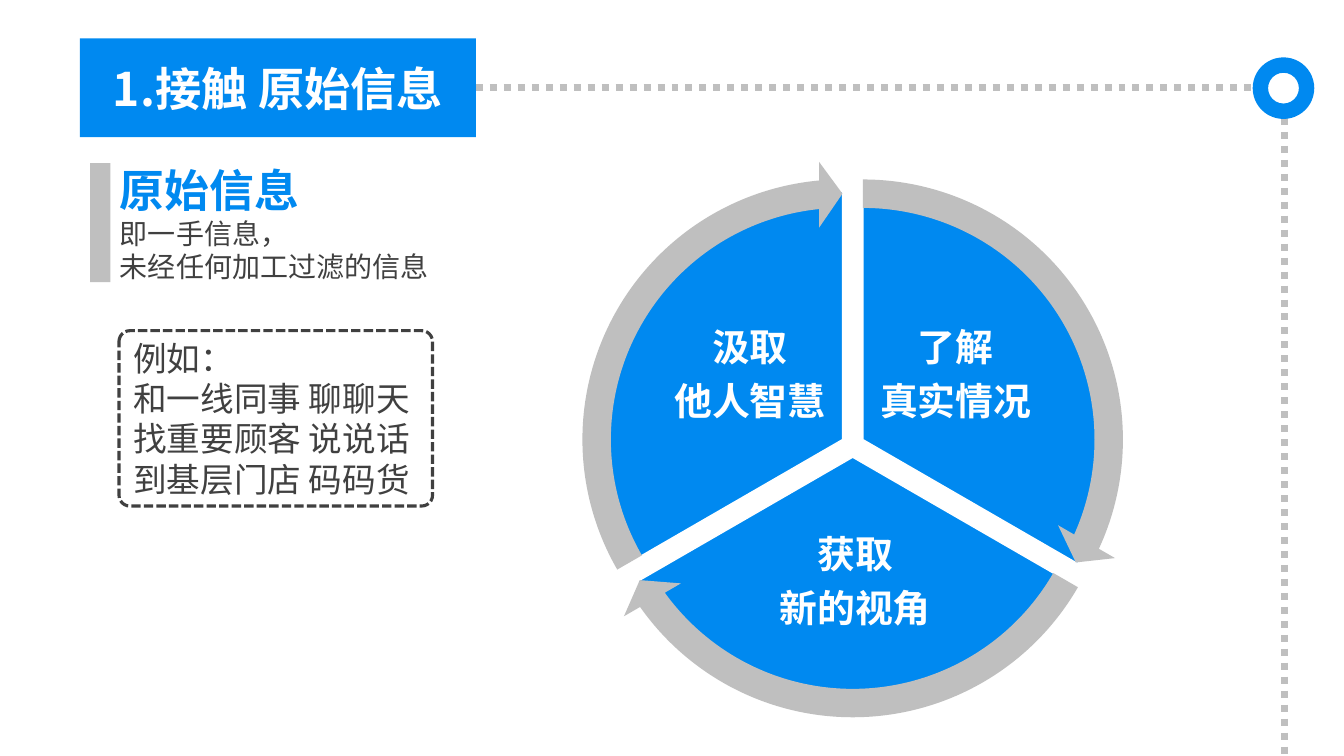
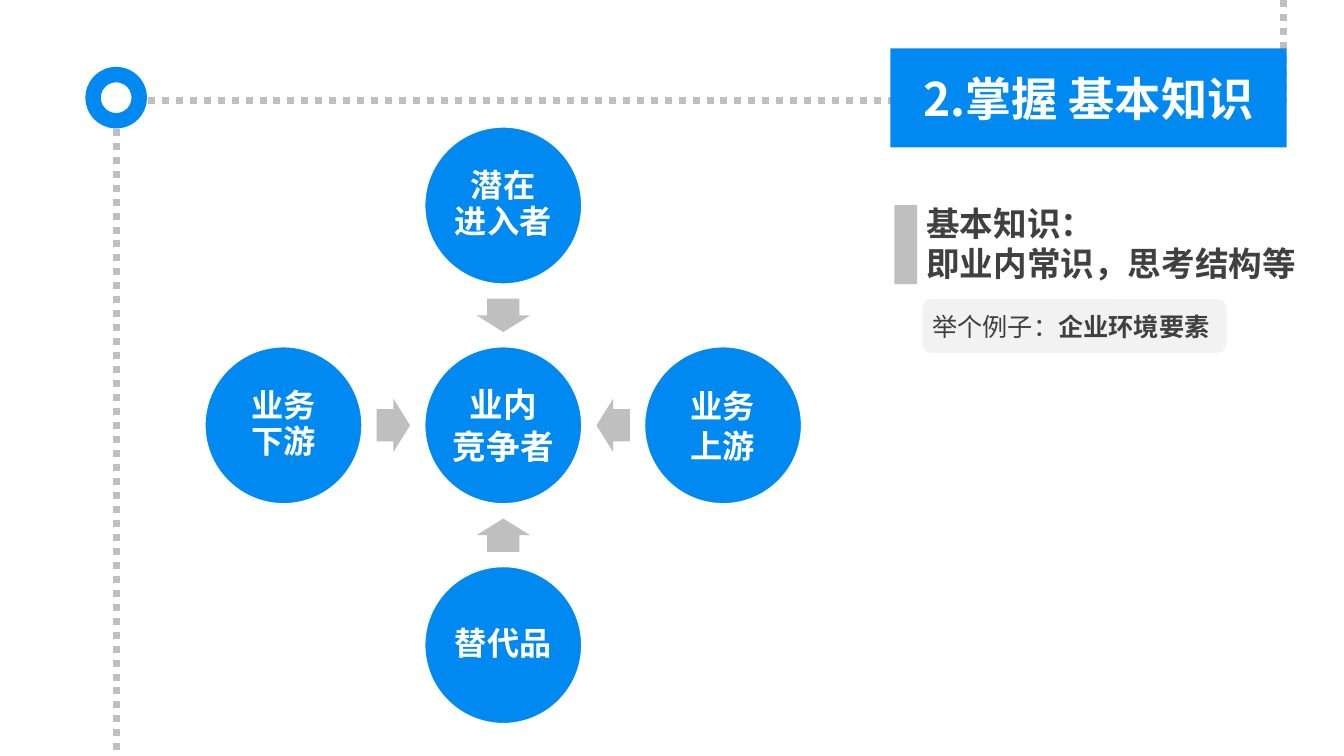
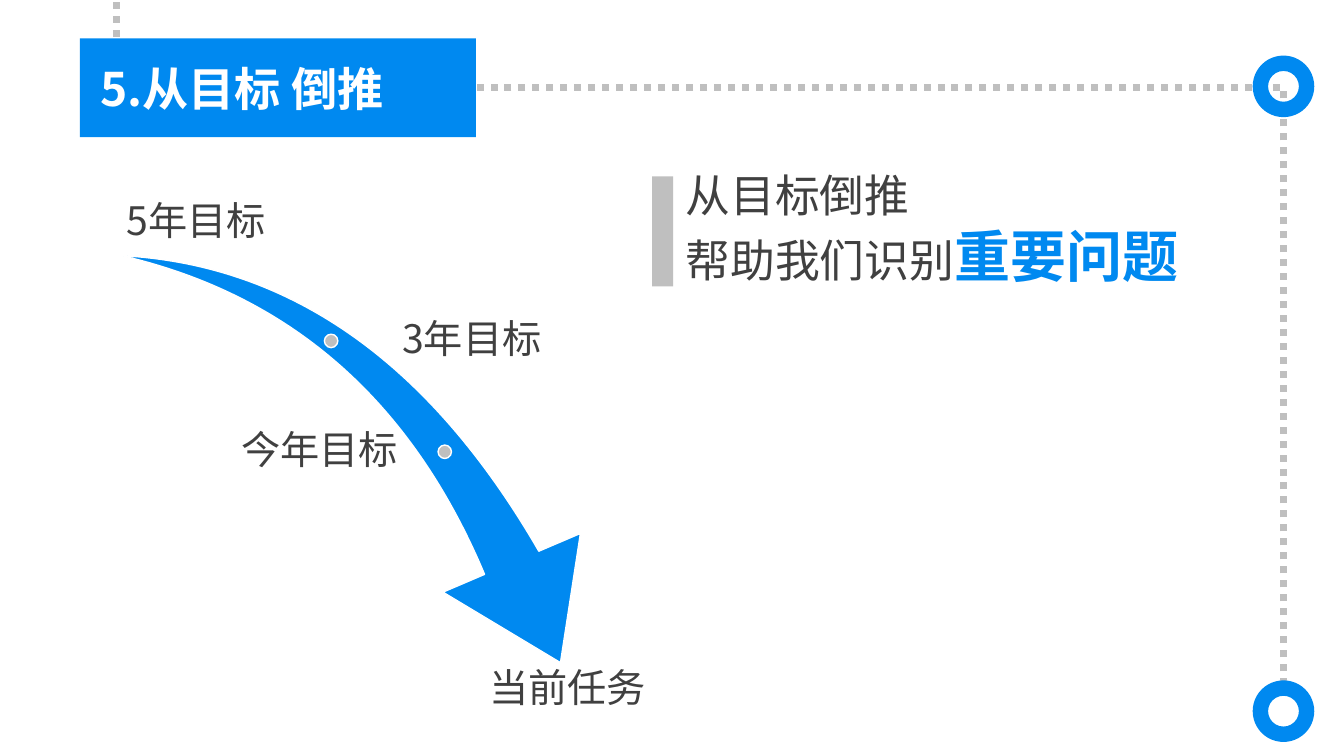
import math

import pptx
import pptx.dml.color
import pptx.enum.dml
import pptx.enum.shapes
import pptx.enum.text
import pptx.oxml
import pptx.oxml.ns
import pptx.util

Pt = pptx.util.Pt
qn = pptx.oxml.ns.qn
RGBColor = pptx.dml.color.RGBColor
SHAPE = pptx.enum.shapes.MSO_SHAPE
CONNECTOR = pptx.enum.shapes.MSO_CONNECTOR
ALIGN = pptx.enum.text.PP_ALIGN
ANCHOR = pptx.enum.text.MSO_ANCHOR
DASH = pptx.enum.dml.MSO_LINE

BLUE = RGBColor(0x00, 0x89, 0xF0)
GRAY = RGBColor(0xBF, 0xBF, 0xBF)
PALE = RGBColor(0xF2, 0xF2, 0xF2)
DARK = RGBColor(0x40, 0x40, 0x40)
WHITE = RGBColor(0xFF, 0xFF, 0xFF)
FONT = "Noto Sans CJK SC"
ANGLE = 0.6  # one degree, in the unit of shape adjustments

BANNER_WIDTH, BANNER_HEIGHT = 283, 70.6
RIGHT_TRACK, LEFT_TRACK = 916.8, 83


def place(left, top, width, height):
    return Pt(left), Pt(top), Pt(width), Pt(height)


def centered(x, y, width, height):
    return place(x - width / 2, y - height / 2, width, height)


def write(frame, text, size=24, color=DARK, bold=False, align=ALIGN.LEFT,
          spacing=1.0, after=0, same_line=False):
    """Add one paragraph per line of text, or carry on the last paragraph."""
    for line in text.split("\n"):
        paragraph = frame.paragraphs[-1]
        if paragraph.runs and not same_line:
            paragraph = frame.add_paragraph()
        paragraph.alignment = align
        paragraph.line_spacing = spacing
        paragraph.space_after = Pt(after)
        run = paragraph.add_run()
        run.text = line
        run.font.size = Pt(size)
        run.font.bold = bold
        run.font.color.rgb = color
        run.font.name = FONT
        east_asian = pptx.oxml.parse_xml(
            f'<a:ea {pptx.oxml.ns.nsdecls("a")} typeface="{FONT}"/>')
        run.font._element.append(east_asian)


def set_frame(frame, anchor=ANCHOR.TOP, margins=(7.2, 3.6, 7.2, 3.6)):
    frame.word_wrap = True
    frame.auto_size = pptx.enum.text.MSO_AUTO_SIZE.NONE
    frame.vertical_anchor = anchor
    (frame.margin_left, frame.margin_top,
     frame.margin_right, frame.margin_bottom) = map(Pt, margins)
    return frame


def add_text(slide, box, text, anchor=ANCHOR.TOP,
             margins=(7.2, 3.6, 7.2, 3.6), **text_format):
    frame = set_frame(slide.shapes.add_textbox(*box).text_frame, anchor, margins)
    write(frame, text, **text_format)
    return frame


def add_shape(slide, kind, box, fill=None, line=None, line_width=1, adjustments=()):
    shape = slide.shapes.add_shape(kind, *box)
    shape.shadow.inherit = False
    if fill is None:
        shape.fill.background()
    else:
        shape.fill.solid()
        shape.fill.fore_color.rgb = fill
    if line is None:
        shape.line.fill.background()
    else:
        shape.line.color.rgb = line
        shape.line.width = Pt(line_width)
    for index, value in enumerate(adjustments):
        shape.adjustments[index] = value
    return shape


def add_track(slide, start, end, corner=None):
    """Dotted line; with a corner, it bends at that x position."""
    kind = CONNECTOR.STRAIGHT if corner is None else CONNECTOR.ELBOW
    track = slide.shapes.add_connector(kind, *map(Pt, start + end))
    track.line.color.rgb = GRAY
    track.line.width = Pt(5)
    track.line.dash_style = DASH.ROUND_DOT
    properties = track._element.spPr
    if corner is not None:
        bend = round((corner - start[0]) / (end[0] - start[0]) * 100000)
        guides = properties.find(qn("a:prstGeom")).get_or_add_avLst()
        guides.append(pptx.oxml.parse_xml(
            f'<a:gd {pptx.oxml.ns.nsdecls("a")} name="adj1" fmla="val {bend}"/>'))
    properties.append(pptx.oxml.parse_xml(
        f'<a:effectLst {pptx.oxml.ns.nsdecls("a")}/>'))


def add_node(slide, x, y, solid=True):
    if solid:
        add_shape(slide, SHAPE.OVAL, centered(x, y, 26, 26), WHITE)
    add_shape(slide, SHAPE.DONUT, centered(x, y, 44, 44), BLUE)


def set_title(slide, left, top, text, align=ALIGN.CENTER, indent=7.2):
    """Turn the title placeholder into the snipped banner, above the track."""
    title = slide.shapes.title
    title.left, title.top, title.width, title.height = place(
        left, top, BANNER_WIDTH, BANNER_HEIGHT)
    title._element.spPr.append(pptx.oxml.parse_xml(
        f'<a:prstGeom {pptx.oxml.ns.nsdecls("a")} prst="snip2DiagRect"><a:avLst>'
        '<a:gd name="adj1" fmla="val 0"/><a:gd name="adj2" fmla="val 28600"/>'
        '</a:avLst></a:prstGeom>'))
    title.fill.solid()
    title.fill.fore_color.rgb = BLUE
    frame = set_frame(title.text_frame, ANCHOR.MIDDLE, (indent, 3.6, 7.2, 3.6))
    write(frame, text, size=33, color=WHITE, bold=True, align=align)
    slide.shapes._spTree.append(title._element)


def set_body(slide, box, bar):
    """Place the body placeholder next to its gray bar."""
    add_shape(slide, SHAPE.RECTANGLE, bar, GRAY)
    body = slide.placeholders[1]
    body.left, body.top, body.width, body.height = box
    return set_frame(body.text_frame)


def clear_body_bullets(presentation):
    style = presentation.slide_master._element.find(
        f'.//{qn("p:bodyStyle")}/{qn("a:lvl1pPr")}')
    style.set("marL", "0")
    style.set("indent", "0")
    style.remove(style.find(qn("a:spcBef")))
    style.replace(style.find(qn("a:buChar")), pptx.oxml.parse_xml(
        f'<a:buNone {pptx.oxml.ns.nsdecls("a")}/>'))


def add_cycle(slide, center_x, center_y):
    gap, diameter, arrow_size, sweep, head = 8.4, 354.2, 398.2, 114.54, 5.46
    sectors = [
        (270, "了解\n真实情况", 682.6, 268.9),
        (30, "获取\n新的视角", 610.9, 416.5),
        (150, "汲取\n他人智慧", 535.7, 268.9),
    ]
    centers = []
    for start, text, text_x, text_y in sectors:
        middle = math.radians(start + 60)
        x = center_x + gap * math.cos(middle)
        y = center_y + gap * math.sin(middle)
        centers.append((start, x, y))
        add_shape(slide, SHAPE.PIE, centered(x, y, diameter, diameter), BLUE, WHITE,
                  adjustments=(start * ANGLE, (start + 120) % 360 * ANGLE))
        add_text(slide, centered(text_x, text_y, 141, 110), text, ANCHOR.MIDDLE,
                 (0, 0, 0, 0), size=27, color=WHITE, bold=True,
                 align=ALIGN.CENTER, spacing=0.9, after=9.45)
    for start, x, y in centers:
        add_shape(slide, SHAPE.CIRCULAR_ARROW, centered(x, y, arrow_size, arrow_size),
                  GRAY, adjustments=(0.051, head * ANGLE,
                                     (start + sweep) % 360 * ANGLE,
                                     start * ANGLE, 0.059))


def add_forces(slide, center_x, center_y):
    """Five circles on a cross, with arrows pointing to the middle one."""
    pitch, diameter, arrow_length, arrow_width = 157, 112.2, 23.8, 38.2
    circles = [
        (0, 0, "业内\n竞争者", 24, 1.0, None),
        (0, -1, "潜在\n进入者", 23, 0.9, SHAPE.DOWN_ARROW),
        (1, 0, "业务\n上游", 23, 1.0, SHAPE.LEFT_ARROW),
        (0, 1, "替代品", 23, 0.9, SHAPE.UP_ARROW),
        (-1, 0, "业务\n下游", 23, 0.9, SHAPE.RIGHT_ARROW),
    ]
    for column, row, text, size, spacing, arrow in circles:
        x, y = center_x + column * pitch, center_y + row * pitch
        circle = add_shape(slide, SHAPE.OVAL, centered(x, y, diameter, diameter),
                           BLUE, WHITE)
        frame = set_frame(circle.text_frame, ANCHOR.MIDDLE, (0, 0, 0, 0))
        write(frame, text, size=size, color=WHITE, bold=True,
              align=ALIGN.CENTER, spacing=spacing, after=1)
        if arrow is not None:
            extent = ((arrow_length, arrow_width) if column
                      else (arrow_width, arrow_length))
            middle = ((x + center_x) / 2, (y + center_y) / 2)
            add_shape(slide, arrow, centered(*middle, *extent), GRAY,
                      adjustments=(0.6, 0.5))


def build_raw_information(slide):
    add_cycle(slide, 609.1, 318.2)
    add_track(slide, (340, 62.8), (1214.6, 662.4), RIGHT_TRACK + 0.5)
    add_node(slide, RIGHT_TRACK, 63)
    body = set_body(slide, place(78.5, 112.3, 305.3, 94.3),
                    place(64.3, 116.6, 14.6, 85))
    write(body, "原始信息", size=32, color=BLUE, bold=True)
    write(body, "即一手信息，\n未经任何加工过滤的信息", size=20)
    frame = add_shape(slide, SHAPE.ROUNDED_RECTANGLE, place(85, 236.2, 224, 125.3),
                      line=DARK, line_width=2.25, adjustments=(0.062,))
    frame.line.dash_style = DASH.SQUARE_DOT
    set_frame(frame.text_frame, ANCHOR.MIDDLE, (8, 0, 0, 0))
    write(frame.text_frame, "例如：\n和一线同事 聊聊天\n找重要顾客 说说话\n到基层门店 码码货")
    set_title(slide, 57, 27.4, "1.接触 原始信息")


def build_basic_knowledge(slide):
    add_track(slide, (871.9, -34.6), (LEFT_TRACK, 72), RIGHT_TRACK)
    set_title(slide, 636, 34.6, "2.掌握 基本知识")
    add_track(slide, (LEFT_TRACK, 72), (LEFT_TRACK, 560))
    add_node(slide, LEFT_TRACK, 69.8)
    body = set_body(slide, place(654.5, 141.1, 305.3, 65.5),
                    place(638.8, 146.6, 16.4, 56.4))
    write(body, "基本知识：\n即业内常识，思考结构等", bold=True)
    add_forces(slide, 359.5, 303.8)
    add_shape(slide, SHAPE.ROUNDED_RECTANGLE, place(658.8, 213.8, 217.4, 38.2), PALE)
    example = add_text(slide, place(658.8, 218.9, 236.9, 28.8), "举个例子：", size=18)
    write(example, "企业环境要素", size=18, bold=True, same_line=True)


def build_backward_planning(slide):
    add_track(slide, (904.3, 506.9), (340, 62.8), RIGHT_TRACK)
    add_track(slide, (LEFT_TRACK, -38.2), (LEFT_TRACK, 54.7))
    add_node(slide, RIGHT_TRACK, 61.7, solid=False)
    set_title(slide, 57, 27.4, "5.从目标 倒推", ALIGN.LEFT, indent=14.6)
    swoosh = add_shape(slide, SHAPE.SWOOSH_ARROW, place(78.5, 193.7, 368.6, 257),
                       BLUE, WHITE, adjustments=(0.163, 0.314))
    swoosh.rotation = 73.3
    for x, y in [(236.5, 243.5), (317.7, 322.7)]:
        add_shape(slide, SHAPE.OVAL, centered(x, y, 9.6, 9.6), GRAY, WHITE)
    milestones = [
        ("5年目标", 53.3, 109.4, 173.5, ANCHOR.BOTTOM, ALIGN.CENTER),
        ("3年目标", 283.7, 209.5, 239, ANCHOR.MIDDLE, ALIGN.LEFT),
        ("今年目标", 53.3, 288.7, 234.7, ANCHOR.MIDDLE, ALIGN.RIGHT),
        ("当前任务", 288, 473.8, 234.7, ANCHOR.TOP, ALIGN.CENTER),
    ]
    for text, left, top, width, anchor, align in milestones:
        add_text(slide, place(left, top, width, 68.4), text, anchor,
                 (3.6, 3.6, 3.6, 3.6), size=28, align=align, spacing=0.9)
    body = set_body(slide, place(482.4, 115.9, 429.8, 94.3),
                    place(465.8, 126, 15, 78.6))
    write(body, "从目标倒推\n帮助我们识别", size=32)
    write(body, "重要问题", size=40, color=BLUE, bold=True, same_line=True)
    add_node(slide, RIGHT_TRACK, 508)


def main():
    presentation = pptx.Presentation()
    presentation.slide_width, presentation.slide_height = Pt(960), Pt(540)
    clear_body_bullets(presentation)
    for build in (build_raw_information, build_basic_knowledge,
                  build_backward_planning):
        build(presentation.slides.add_slide(presentation.slide_layouts[1]))
    presentation.save("out.pptx")


if __name__ == "__main__":
    main()
